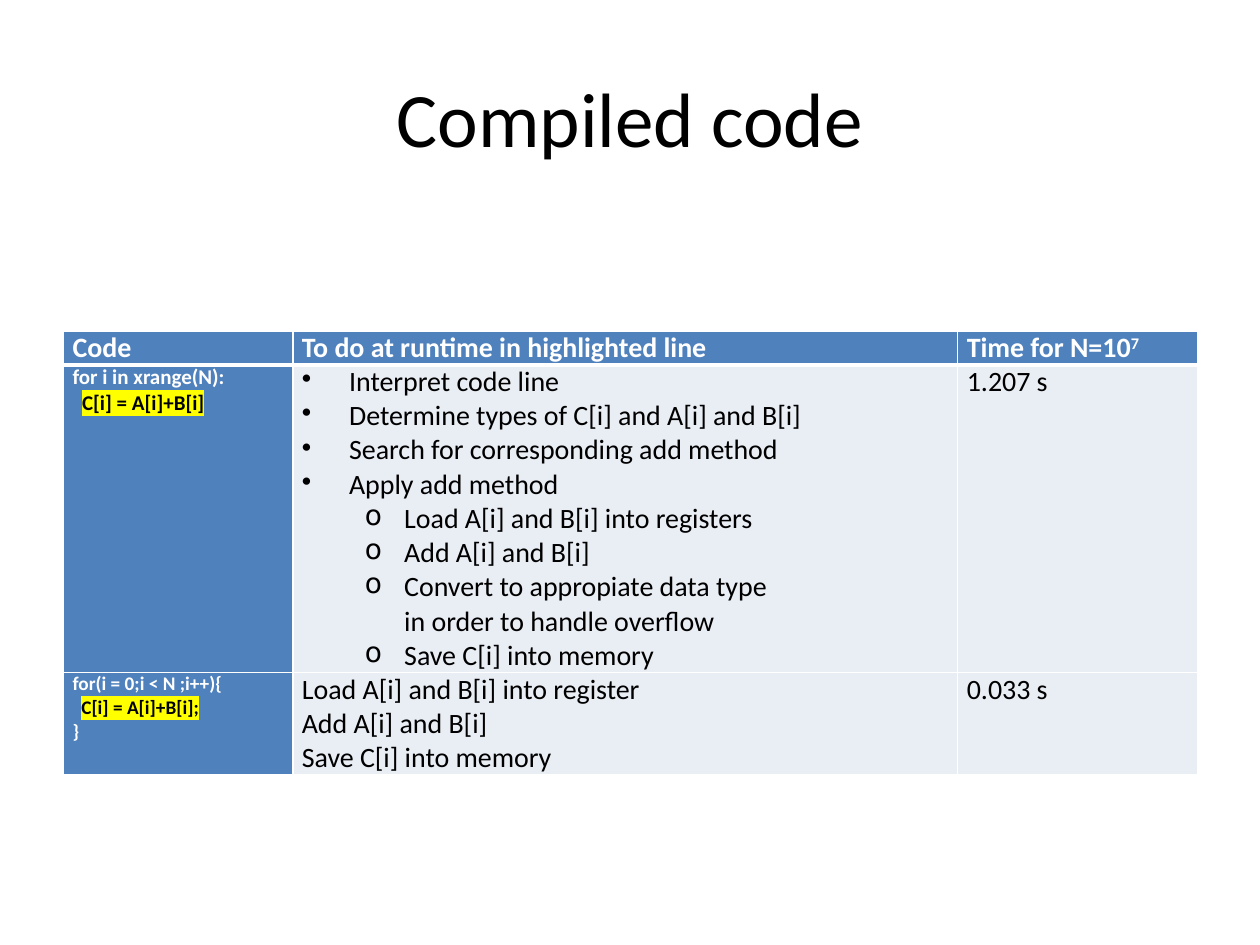
from dataclasses import dataclass

from lxml.etree import SubElement
from pptx import Presentation
from pptx.dml.color import RGBColor
from pptx.enum.text import MSO_ANCHOR, PP_ALIGN
from pptx.oxml import parse_xml
from pptx.oxml.ns import nsdecls, qn
from pptx.util import Pt


@dataclass(frozen=True)
class Theme:
    """Colours, font and type sizes of the slide."""
    font: str = "Calibri"
    black: str = "000000"
    white: str = "FFFFFF"
    accent: str = "4F81BD"
    pale: str = "E9EDF4"
    marker: str = "FFFF00"
    title_size: float = 44
    body_size: float = 16
    python_size: float = 12
    c_size: float = 11


THEME = Theme()
COLUMN_WIDTHS = (131, 380, 137)
ROW_HEIGHTS = (19.5, 175.7, 58.5)
HEADINGS = ("Code", "To do at runtime in highlighted line", "Time for N=10")
PYTHON_CODE = ("for i in xrange(N):", "C[i] = A[i]+B[i]")
C_CODE = ("for(i = 0;i < N ;i++){", "C[i] = A[i]+B[i];", "}")
INTERPRETED_STEPS = (
    "Interpret code line",
    "Determine types of C[i] and A[i] and B[i]",
    "Search for corresponding add method",
    "Apply add method",
)
ADD_STEPS = (
    "Load A[i] and B[i] into registers",
    "Add A[i] and B[i]",
    "Convert to appropiate data type\vin order to handle overflow",
    "Save C[i] into memory",
)
COMPILED_STEPS = ("Load A[i] and B[i] into register", "Add A[i] and B[i]",
                  "Save C[i] into memory")


def style_paragraph(paragraph, size, color, bold=False):
    """Give every run of a paragraph its font, size and colour."""
    for run in paragraph.runs:
        run.font.name = THEME.font
        run.font.size = Pt(size)
        run.font.bold = bold
        run.font.color.rgb = RGBColor.from_string(color)


def indent(paragraph, left, first=0):
    """Set the left margin and first-line indent of a paragraph."""
    properties = paragraph._p.get_or_add_pPr()
    properties.set("marL", str(Pt(left)))
    properties.set("indent", str(Pt(first)))


def add_bullet(paragraph, character, left, hanging):
    """Put a hanging bullet in front of a paragraph."""
    indent(paragraph, left, -hanging)
    bullet = SubElement(paragraph._p.get_or_add_pPr(), qn("a:buChar"))
    bullet.set("char", character)


def highlight(run):
    """Lay the marker colour behind a run."""
    fill = run._r.get_or_add_rPr().find(qn("a:solidFill"))
    fill.addnext(parse_xml(
        f'<a:highlight {nsdecls("a")}><a:srgbClr val="{THEME.marker}"/></a:highlight>'))


def write_cell(cell, lines, size, color, bold=False):
    """Fill a cell with one paragraph for each line."""
    cell.text_frame.text = "\n".join(lines)
    for paragraph in cell.text_frame.paragraphs:
        style_paragraph(paragraph, size, color, bold)


def write_code(cell, lines, size):
    """Write a code listing whose second line is indented and highlighted."""
    write_cell(cell, lines, size, THEME.white, bold=True)
    loop_body = cell.text_frame.paragraphs[1]
    style_paragraph(loop_body, size, THEME.black, bold=True)
    indent(loop_body, 0.45 * size)
    highlight(loop_body.runs[0])


def write_steps(cell):
    """Write the two-level list of interpreter steps."""
    write_cell(cell, INTERPRETED_STEPS + ADD_STEPS, THEME.body_size, THEME.black)
    for number, step in enumerate(cell.text_frame.paragraphs):
        if number < len(INTERPRETED_STEPS):
            add_bullet(step, "•", 27, 27)
        else:
            step.level = 1
            add_bullet(step, "o", 58.5, 22.5)


def add_exponent(paragraph, digit):
    """Append a superscript digit to a heading."""
    exponent = paragraph.add_run()
    exponent.text = digit
    style_paragraph(paragraph, THEME.body_size, THEME.white, bold=True)
    exponent._r.get_or_add_rPr().set("baseline", "30000")


def format_cell(cell, fill, bottom_width):
    """Set the margins, fill and white borders of a cell."""
    cell.margin_left = cell.margin_right = Pt(5.2)
    cell.margin_top = cell.margin_bottom = 0
    cell.fill.solid()
    cell.fill.fore_color.rgb = RGBColor.from_string(fill)
    properties = cell._tc.get_or_add_tcPr()
    widths = {"lnL": 1, "lnR": 1, "lnT": 1, "lnB": bottom_width}
    for position, (side, width) in enumerate(widths.items()):
        properties.insert(position, parse_xml(
            f'<a:{side} {nsdecls("a")} w="{Pt(width)}"><a:solidFill>'
            f'<a:srgbClr val="{THEME.white}"/></a:solidFill></a:{side}>'))


def add_title(slide, text):
    """Add the centred slide title."""
    title = slide.shapes.add_textbox(Pt(36), Pt(21.6), Pt(648), Pt(90))
    frame = title.text_frame
    frame.word_wrap = True
    frame.vertical_anchor = MSO_ANCHOR.MIDDLE
    frame.text = text
    frame.paragraphs[0].alignment = PP_ALIGN.CENTER
    style_paragraph(frame.paragraphs[0], THEME.title_size, THEME.black)


def add_comparison_table(slide):
    """Add the empty, formatted table and return it."""
    table = slide.shapes.add_table(
        len(ROW_HEIGHTS), len(COLUMN_WIDTHS), Pt(36.3), Pt(189),
        Pt(sum(COLUMN_WIDTHS)), Pt(sum(ROW_HEIGHTS))).table
    table.horz_banding = False
    table.first_col = True
    for column, width in zip(table.columns, COLUMN_WIDTHS):
        column.width = Pt(width)
    for row_number, (row, height) in enumerate(zip(table.rows, ROW_HEIGHTS)):
        row.height = Pt(height)
        for column_number, cell in enumerate(row.cells):
            is_heading = row_number == 0 or column_number == 0
            format_cell(cell, THEME.accent if is_heading else THEME.pale,
                        3 if row_number == 0 else 1)
    return table


def main():
    """Build and save the slide."""
    presentation = Presentation()
    presentation.slide_width, presentation.slide_height = Pt(720), Pt(540)
    slide = presentation.slides.add_slide(presentation.slide_layouts[6])
    add_title(slide, "Compiled code")
    comparison = add_comparison_table(slide)
    for column, heading in enumerate(HEADINGS):
        write_cell(comparison.cell(0, column), [heading],
                   THEME.body_size, THEME.white, bold=True)
    add_exponent(comparison.cell(0, 2).text_frame.paragraphs[0], "7")
    write_code(comparison.cell(1, 0), PYTHON_CODE, THEME.python_size)
    write_code(comparison.cell(2, 0), C_CODE, THEME.c_size)
    write_steps(comparison.cell(1, 1))
    write_cell(comparison.cell(2, 1), COMPILED_STEPS, THEME.body_size, THEME.black)
    for row, seconds in enumerate(("1.207 s", "0.033 s"), start=1):
        write_cell(comparison.cell(row, 2), [seconds], THEME.body_size, THEME.black)
    presentation.save("out.pptx")


main()
